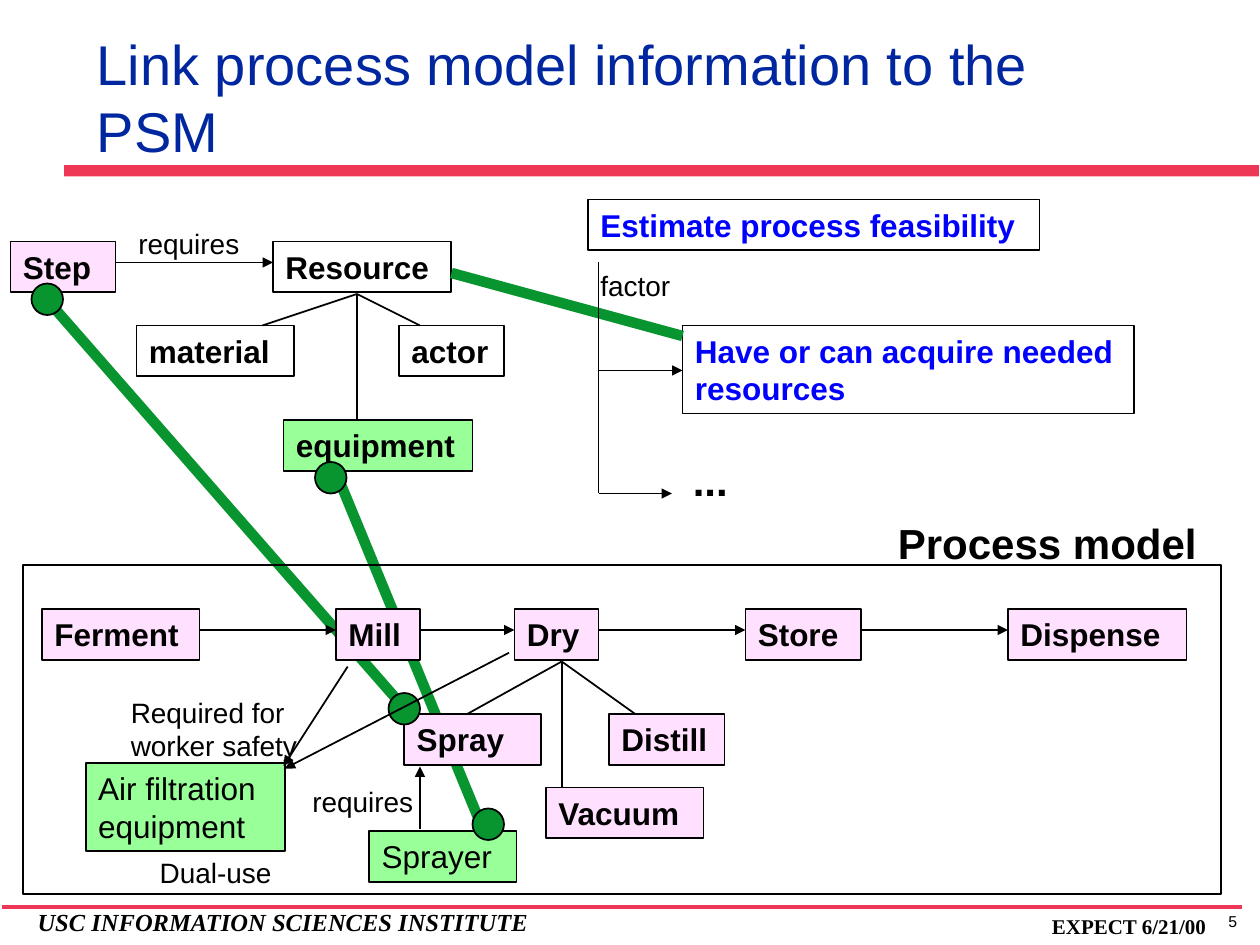
"""Build a slide that links process model information to the PSM."""
import pptx
import pptx.dml.color
import pptx.enum.shapes
import pptx.enum.text
import pptx.oxml
import pptx.util

Pt = pptx.util.Pt
RGBColor = pptx.dml.color.RGBColor
Shape = pptx.enum.shapes.MSO_SHAPE
Connector = pptx.enum.shapes.MSO_CONNECTOR
Align = pptx.enum.text.PP_ALIGN
Anchor = pptx.enum.text.MSO_ANCHOR

BLACK = RGBColor(0x00, 0x00, 0x00)
WHITE = RGBColor(0xFF, 0xFF, 0xFF)
RED = RGBColor(0xEE, 0x37, 0x57)
NAVY = RGBColor(0x00, 0x27, 0x9F)
BLUE = RGBColor(0x00, 0x00, 0xFF)
GREEN = RGBColor(0x08, 0x94, 0x2F)
PALE_GREEN = RGBColor(0x99, 0xFF, 0x99)
PINK = RGBColor(0xFF, 0xE1, 0xFF)
SERIF = "Times New Roman"
BOX_HEIGHT = 29
DOT_SIZE = 18
STEP_TOP = 348
STEP_MIDDLE = 360


def write_text(shape, text, *, size=18, color=BLACK, bold=False, italic=False,
               font="Arial", align=Align.LEFT, anchor=Anchor.TOP):
    frame = shape.text_frame
    frame.word_wrap = True
    frame.vertical_anchor = anchor
    paragraph = frame.paragraphs[0]
    paragraph.alignment = align
    run = paragraph.add_run()
    run.text = text
    run.font.size = Pt(size)
    run.font.name = font
    run.font.bold = bold
    run.font.italic = italic
    run.font.color.rgb = color


class Canvas:
    def __init__(self, slide, line_color=BLACK, line_width=1):
        self.slide = slide
        self.line_color = line_color
        self.line_width = line_width

    def shape(self, kind, left, top, width, height, fill=None, outlined=True):
        shape = self.slide.shapes.add_shape(
            kind, Pt(left), Pt(top), Pt(width), Pt(height))
        shape.shadow.inherit = False
        if fill is None:
            shape.fill.background()
        else:
            shape.fill.solid()
            shape.fill.fore_color.rgb = fill
        if outlined:
            shape.line.color.rgb = self.line_color
            shape.line.width = Pt(self.line_width)
        else:
            shape.line.fill.background()
        return shape

    def box(self, text, left, top, width, height=BOX_HEIGHT, fill=None, **text_format):
        shape = self.shape(Shape.RECTANGLE, left, top, width, height, fill)
        write_text(shape, text, **text_format)

    def dot(self, left, top):
        self.shape(Shape.OVAL, left, top, DOT_SIZE, DOT_SIZE, GREEN)

    def label(self, text, left, top, width, height=26.6, **text_format):
        shape = self.slide.shapes.add_textbox(
            Pt(left), Pt(top), Pt(width), Pt(height))
        write_text(shape, text, **text_format)

    def line(self, start, end, color=None, width=None, arrow=None,
             kind=Connector.STRAIGHT):
        connector = self.slide.shapes.add_connector(
            kind, *(Pt(value) for value in (*start, *end)))
        connector.line.color.rgb = color or self.line_color
        connector.line.width = Pt(width or self.line_width)
        properties = connector._element.spPr
        namespace = pptx.oxml.ns.nsdecls("a")
        if arrow:
            connector.line._get_or_add_ln().append(pptx.oxml.parse_xml(
                f'<a:{arrow} {namespace} type="triangle"/>'))
        properties.append(pptx.oxml.parse_xml(f"<a:effectLst {namespace}/>"))
        return connector

    def corner_arrow(self, start, end):
        connector = self.line(end, start, arrow="headEnd", kind=Connector.ELBOW)
        connector._element.spPr.prstGeom.set("prst", "bentConnector2")

    def branches(self, root, ends):
        for end in ends:
            self.line(root, end)


def draw_frame(canvas):
    canvas.shape(Shape.RECTANGLE, 36.7, 94.3, 682.6, 6.5, RED, outlined=False)
    canvas.label("5", 676.8, 517.7, 55.4, 18, size=9, align=Align.CENTER)
    canvas.line((709.9, 518.4), (1.4, 518.4), RED, 2)
    canvas.label("USC INFORMATION SCIENCES INSTITUTE", 14.4, 514.8, 313.9, 23.8,
                 size=14, font=SERIF, bold=True, italic=True)
    canvas.label("EXPECT 6/21/00", 594, 518.4, 113.8, 21.6,
                 size=12, font=SERIF, bold=True)
    canvas.label("Link process model information to the PSM", 48.2, 6.5, 610.6, 90.7,
                 size=32, color=NAVY, anchor=Anchor.BOTTOM)


def draw_boxes(canvas):
    for text, left, top, width, fill in (
        ("Step", 6, 138, 60, PINK),
        ("Resource", 156, 138, 102, None),
        ("material", 78, 186, 90, None),
        ("actor", 228, 186, 60, None),
        ("equipment", 162, 240, 108, PALE_GREEN),
        ("Spray", 231, 408, 78, PINK),
        ("Distill", 348, 408, 66, PINK),
        ("Vacuum", 312, 450, 90, PINK),
    ):
        canvas.box(text, left, top, width, fill=fill, bold=True)
    canvas.box("Sprayer", 211, 475, 84.2, fill=PALE_GREEN)
    canvas.box("Air filtration equipment", 49, 436, 113.8, 50.4, PALE_GREEN)
    canvas.box("Estimate process feasibility", 336, 114, 258, color=BLUE, bold=True)
    canvas.box("Have or can acquire needed resources", 390, 186, 258, 50.4,
               color=BLUE, bold=True)


def draw_process(canvas):
    steps = (("Ferment", 24, 90), ("Mill", 192, 48), ("Dry", 294, 48),
             ("Store", 426, 66), ("Dispense", 576, 102))
    for text, left, width in steps:
        canvas.box(text, left, STEP_TOP, width, fill=PINK, bold=True)
    for (_, left, width), (_, next_left, _) in zip(steps, steps[1:]):
        canvas.line((left + width, STEP_MIDDLE), (next_left, STEP_MIDDLE),
                    arrow="tailEnd")
    canvas.shape(Shape.RECTANGLE, 13, 323, 684.7, 188)


def draw_links(canvas):
    for left, top in ((18, 162), (180, 264), (270, 462), (222, 396)):
        canvas.dot(left, top)
    canvas.line((390, 192), (258, 156), GREEN, 6)
    canvas.branches((204, 168), ((150, 186), (204, 240), (240, 186)))
    canvas.branches((321, 378), ((267, 408), (321, 450), (363, 408)))
    canvas.line((342, 210), (342, 282))
    canvas.corner_arrow((342, 150), (390, 211.7))
    for start, end in (
        ((66, 150), (156, 150)),
        ((240, 474), (240, 438)),
        ((342, 282), (384, 282)),
        ((198.7, 380.9), (162, 437.8)),
        ((290.9, 373), (162.7, 439.2)),
    ):
        canvas.line(start, end, arrow="tailEnd")


def draw_labels(canvas):
    for text, left, top, width in (
        ("requires", 72, 126, 76),
        ("factor", 336, 150, 60),
        ("requires", 171.4, 445, 76),
        ("Dual-use", 84.2, 485.3, 86),
    ):
        canvas.label(text, left, top, width, size=16)
    canvas.label("Required for worker safety", 67.7, 393.8, 116, 46, size=16)
    for text, left, top, width in (("...", 388.8, 256.3, 40),
                                   ("Process model", 506, 292.3, 192)):
        canvas.label(text, left, top, width, 36, size=24, bold=True)


def main():
    presentation = pptx.Presentation()
    presentation.slide_width = Pt(720)
    presentation.slide_height = Pt(540)
    slide = presentation.slides.add_slide(presentation.slide_layouts[6])
    slide.background.fill.solid()
    slide.background.fill.fore_color.rgb = WHITE
    canvas = Canvas(slide)
    draw_frame(canvas)
    canvas.line((24, 168), (234, 408), GREEN, 6)
    canvas.line((192, 270), (276, 474), GREEN, 6)
    draw_boxes(canvas)
    draw_process(canvas)
    draw_links(canvas)
    draw_labels(canvas)
    presentation.save("out.pptx")


if __name__ == "__main__":
    main()
